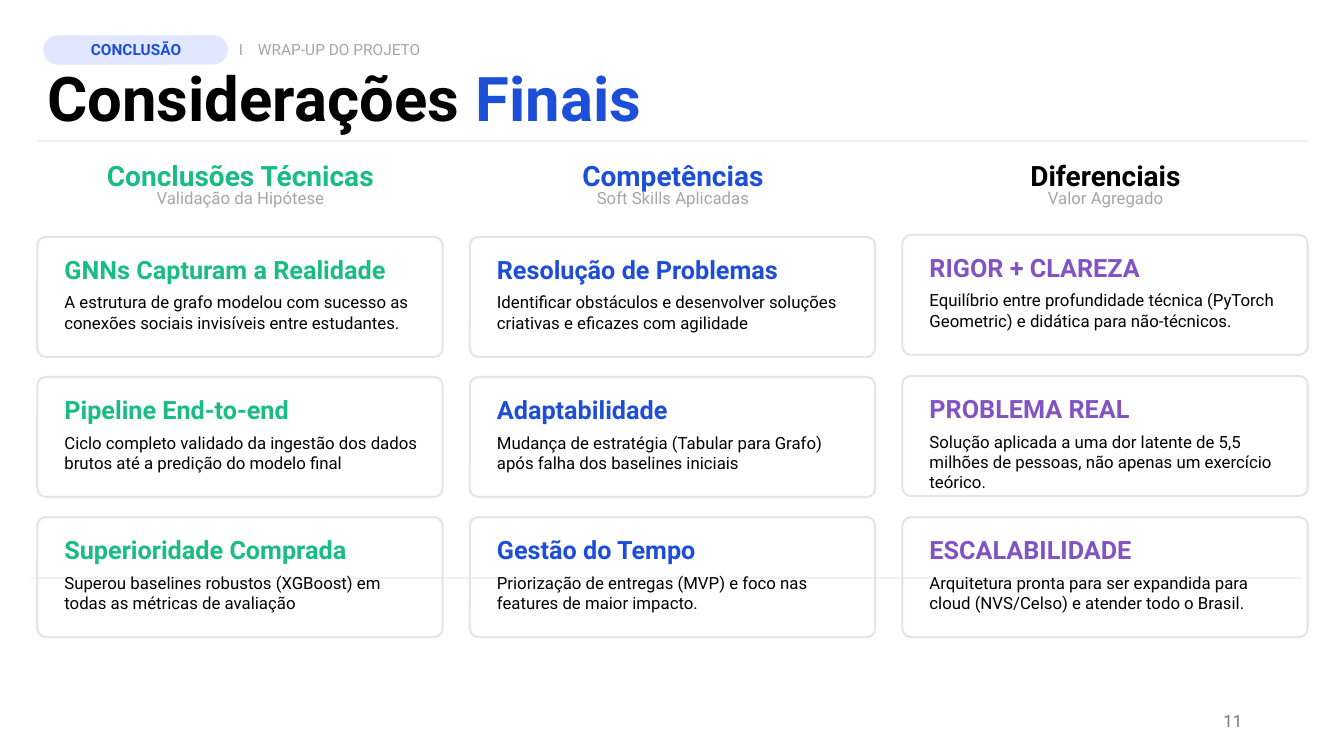
import dataclasses
import typing

import lxml.etree
import pptx
import pptx.dml.color
import pptx.enum.shapes
import pptx.enum.text
import pptx.oxml.ns
import pptx.shapes.shapetree
import pptx.util

Inches = pptx.util.Inches
Align = pptx.enum.text.PP_ALIGN
Anchor = pptx.enum.text.MSO_ANCHOR
AutoSize = pptx.enum.text.MSO_AUTO_SIZE
Shape = pptx.enum.shapes.MSO_SHAPE


@dataclasses.dataclass(frozen=True)
class Theme:
    font: str = "Roboto"
    black: str = "000000"
    blue: str = "1D4ED8"
    green: str = "1ABC85"
    purple: str = "8253C2"
    muted: str = "A6A6A6"
    page: str = "797979"
    pill: str = "E0E7FF"
    border: str = "E4E5EA"
    rule: str = "F2F2F2"
    title_size: float = 44
    column_size: float = 20
    card_size: float = 18
    body_size: float = 12
    label_size: float = 11
    line_width: float = 1.5


class Card(typing.NamedTuple):
    heading: str
    body: str


@dataclasses.dataclass(frozen=True)
class Column:
    heading: str
    subtitle: str
    heading_color: str
    card_color: str
    cards: tuple[Card, ...]
    row_pitch: float = 1.39


THEME = Theme()
Shapes = pptx.shapes.shapetree.SlideShapes | pptx.shapes.shapetree.GroupShapes

COLUMN_LEFT, COLUMN_PITCH = 0.37, 4.29
CARD_WIDTH, CARD_HEIGHT, LAST_CARD_TOP = 4.02, 1.19, 5.13
CARD_TEXT_INDENT, BODY_WIDTH, HEADING_WIDTH = 0.17, 3.75, 3.55

COLUMNS = (
    Column("Conclusões Técnicas", "Validação da Hipótese", THEME.green, THEME.green, (
        Card("GNNs Capturam a Realidade",
             "A estrutura de grafo modelou com sucesso as conexões sociais invisíveis entre estudantes."),
        Card("Pipeline End-to-end",
             "Ciclo completo validado da ingestão dos dados brutos até a predição do modelo final"),
        Card("Superioridade Comprada",
             "Superou baselines robustos (XGBoost) em todas as métricas de avaliação"),
    )),
    Column("Competências", "Soft Skills Aplicadas", THEME.blue, THEME.blue, (
        Card("Resolução de Problemas",
             "Identificar obstáculos e desenvolver soluções criativas e eficazes com agilidade"),
        Card("Adaptabilidade",
             "Mudança de estratégia (Tabular para Grafo) após falha dos baselines iniciais"),
        Card("Gestão do Tempo",
             "Priorização de entregas (MVP) e foco nas features de maior impacto."),
    )),
    Column("Diferenciais", "Valor Agregado", THEME.black, THEME.purple, (
        Card("RIGOR + CLAREZA",
             "Equilíbrio entre profundidade técnica (PyTorch Geometric) e didática para não-técnicos."),
        Card("PROBLEMA REAL",
             "Solução aplicada a uma dor latente de 5,5 milhões de pessoas, não apenas um exercício teórico."),
        Card("ESCALABILIDADE",
             "Arquitetura pronta para ser expandida para cloud (NVS/Celso) e atender todo o Brasil."),
    ), row_pitch=1.4),
)


def rgb(color: str) -> pptx.dml.color.RGBColor:
    return pptx.dml.color.RGBColor.from_string(color)


def add_text(shapes: Shapes, left: float, top: float, width: float, height: float,
             *runs: tuple[str, str], size: float, bold: bool = False,
             align: Align = Align.LEFT, anchor: Anchor = Anchor.TOP,
             auto_size: AutoSize = AutoSize.SHAPE_TO_FIT_TEXT,
             tab_stop: float | None = None) -> None:
    """Add a one-paragraph text box; each run is a (text, color) pair."""
    box = shapes.add_textbox(Inches(left), Inches(top), Inches(width), Inches(height))
    frame = box.text_frame
    frame.word_wrap = True
    frame.auto_size = auto_size
    frame.vertical_anchor = anchor
    paragraph = frame.paragraphs[0]
    paragraph.alignment = align
    if tab_stop is not None:
        qn = pptx.oxml.ns.qn
        tabs = lxml.etree.SubElement(paragraph._p.get_or_add_pPr(), qn("a:tabLst"))
        lxml.etree.SubElement(tabs, qn("a:tab"), pos=str(Inches(tab_stop)), algn="l")
    for text, color in runs:
        run = paragraph.add_run()
        run.text = text
        run.font.name = THEME.font
        run.font.size = pptx.util.Pt(size)
        run.font.bold = bold
        run.font.color.rgb = rgb(color)


def add_rounded(shapes: Shapes, left: float, top: float, width: float, height: float,
                rounding: float, fill: str | None = None, line: str | None = None) -> None:
    panel = shapes.add_shape(Shape.ROUNDED_RECTANGLE, Inches(left), Inches(top),
                             Inches(width), Inches(height))
    panel.shadow.inherit = False
    panel.adjustments[0] = rounding
    if fill:
        panel.fill.solid()
        panel.fill.fore_color.rgb = rgb(fill)
    else:
        panel.fill.background()
    if line:
        panel.line.color.rgb = rgb(line)
        panel.line.width = pptx.util.Pt(THEME.line_width)
    else:
        panel.line.fill.background()


def add_rule(shapes: Shapes, left: float, top: float, width: float) -> None:
    rule = shapes.add_connector(pptx.enum.shapes.MSO_CONNECTOR.STRAIGHT, Inches(left),
                                Inches(top), Inches(left + width), Inches(top))
    rule.line.color.rgb = rgb(THEME.rule)
    rule.line.width = pptx.util.Pt(THEME.line_width)
    lxml.etree.SubElement(rule._element.spPr, pptx.oxml.ns.qn("a:effectLst"))


def add_card(shapes: Shapes, card: Card, left: float, top: float, color: str) -> None:
    group = shapes.add_group_shape().shapes
    text_left = left + CARD_TEXT_INDENT
    add_rounded(group, left, top, CARD_WIDTH, CARD_HEIGHT, 0.07, line=THEME.border)
    add_text(group, text_left, top + 0.12, HEADING_WIDTH, 0.4, (card.heading, color),
             size=THEME.card_size, bold=True)
    add_text(group, text_left, top + 0.5, BODY_WIDTH, 0.5, (card.body, THEME.black),
             size=THEME.body_size)


def add_column(shapes: Shapes, column: Column, left: float) -> None:
    for row, card in enumerate(column.cards):
        rows_below = len(column.cards) - 1 - row
        add_card(shapes, card, left, LAST_CARD_TOP - rows_below * column.row_pitch,
                 column.card_color)
    add_text(shapes, left + 0.24, 1.52, HEADING_WIDTH, 0.44,
             (column.heading, column.heading_color),
             size=THEME.column_size, bold=True, align=Align.CENTER)
    add_text(shapes, left + 0.14, 1.81, BODY_WIDTH, 0.3, (column.subtitle, THEME.muted),
             size=THEME.body_size, align=Align.CENTER)


def add_section_label(shapes: Shapes) -> None:
    group = shapes.add_group_shape().shapes
    add_rounded(group, 0.43, 0.35, 1.83, 0.29, 0.49, fill=THEME.pill)
    add_text(group, 0.38, 0.35, 1.94, 0.29, ("CONCLUSÃO", THEME.blue),
             size=THEME.label_size, bold=True, align=Align.CENTER)
    add_text(group, 2.27, 0.35, 3.45, 0.29, ("I\tWRAP-UP DO PROJETO", THEME.muted),
             size=THEME.label_size, tab_stop=0.19)


def main() -> None:
    deck = pptx.Presentation()
    deck.slide_width, deck.slide_height = Inches(13.33), Inches(7.5)
    shapes = deck.slides.add_slide(deck.slide_layouts[6]).shapes

    add_text(shapes, 0.37, 0.55, 10.48, 0.84,
             ("Considerações ", THEME.black), ("Finais", THEME.blue),
             size=THEME.title_size, bold=True)
    add_text(shapes, 9.42, 6.95, 3, 0.4, ("11", THEME.page), size=THEME.body_size,
             align=Align.RIGHT, anchor=Anchor.MIDDLE, auto_size=AutoSize.NONE)
    add_rule(shapes, 0.31, 5.73, 12.6)
    add_section_label(shapes)
    for index, column in enumerate(COLUMNS):
        add_column(shapes, column, COLUMN_LEFT + index * COLUMN_PITCH)
    add_rule(shapes, COLUMN_LEFT, 1.4, 12.6)
    deck.save("out.pptx")


if __name__ == "__main__":
    main()
